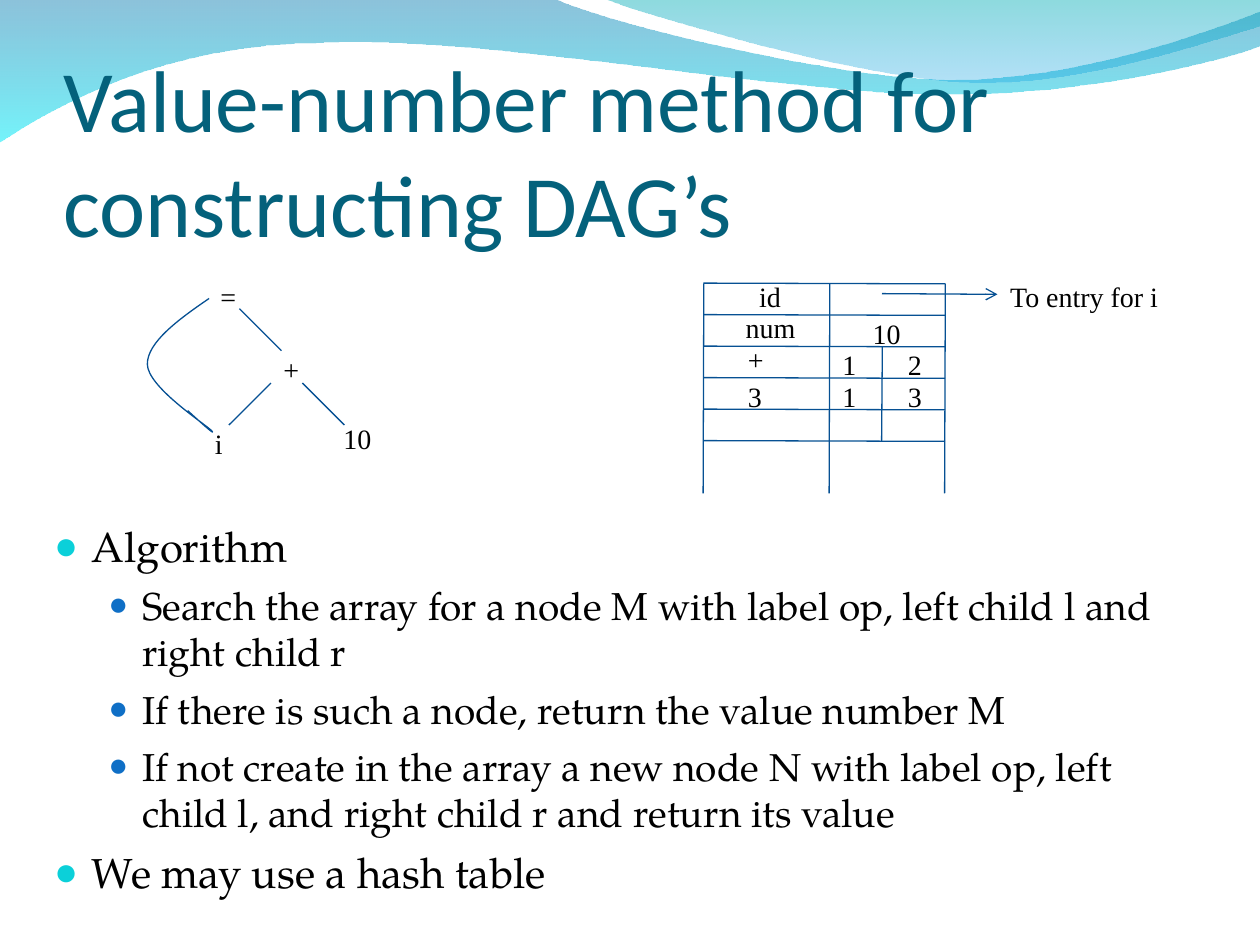
from lxml.etree import SubElement
from pptx import Presentation
from pptx.dml.color import RGBColor
from pptx.enum.shapes import MSO_CONNECTOR
from pptx.enum.text import MSO_ANCHOR, MSO_AUTO_SIZE
from pptx.oxml.ns import qn
from pptx.util import Pt


def tint(code):
    """Turn a hex string into a colour."""
    return RGBColor.from_string(code)


class Deck:
    """Holds the style and the current slide."""

    ink = "000000"
    blue = "065093"
    serif = "Times New Roman"
    body = "TeX Gyre Pagella"
    levels = [(24, 6.5, 21.6, -21.6, "0BD0D9", 95),
              (22.2, 6, 50.4, -19.4, "0F6FC6", 85)]

    def __init__(self, slide):
        """Keep the slide to draw on."""
        self.slide = slide

    def frame(self, x, y, w, h, wrap=True):
        """Add a text box and return its text frame."""
        box = self.slide.shapes.add_textbox(Pt(x), Pt(y), Pt(w), Pt(h))
        box.text_frame.word_wrap = wrap
        return box.text_frame

    def run(self, para, text, size, font, color=ink):
        """Add one styled run."""
        run = para.add_run()
        run.text = text
        run.font.size = Pt(size)
        run.font.name = font
        run.font.color.rgb = tint(color)

    def title(self, text, x, y, w, h):
        """Add the heading, set on the bottom of its box."""
        frame = self.frame(x, y, w, h)
        frame.vertical_anchor = MSO_ANCHOR.BOTTOM
        frame.margin_left = frame.margin_right = frame.margin_bottom = 0
        self.run(frame.paragraphs[0], text, 50, "Calibri", "04617B")

    def label(self, text, x, y, w):
        """Add a short label."""
        frame = self.frame(x, y, w, 26.6, False)
        frame.auto_size = MSO_AUTO_SIZE.SHAPE_TO_FIT_TEXT
        self.run(frame.paragraphs[0], text, 16, self.serif)

    def bullets(self, items, x, y, w, h):
        """Add a list of (level, text) items."""
        frame = self.frame(x, y, w, h)
        for i, (level, text) in enumerate(items):
            para = frame.add_paragraph() if i else frame.paragraphs[0]
            size, gap, left, hang, color, scale = self.levels[level]
            para.level = level
            para.space_before = Pt(gap)
            props = para._p.get_or_add_pPr()
            props.set("marL", str(Pt(left)))
            props.set("indent", str(Pt(hang)))
            mark = SubElement(props, qn("a:buClr"))
            SubElement(mark, qn("a:srgbClr"), val=color)
            SubElement(props, qn("a:buSzPct"), val=str(scale * 1000))
            SubElement(props, qn("a:buFont"), typeface=self.serif)
            SubElement(props, qn("a:buChar"), char="●")
            self.run(para, text, size, self.body)

    def line(self, x1, y1, x2, y2, arrow=False):
        """Add a straight line, with an arrowhead if asked."""
        link = self.slide.shapes.add_connector(
            MSO_CONNECTOR.STRAIGHT, Pt(x1), Pt(y1), Pt(x2), Pt(y2))
        link.line.color.rgb = tint(self.blue)
        link.line.width = Pt(0.75)
        if arrow:
            SubElement(link.line._get_or_add_ln(), qn("a:tailEnd"), type="arrow")
        SubElement(link._element.spPr, qn("a:effectLst"))

    def outline(self, start, steps, close):
        """Add a freeform whose six-number steps are cubic curves."""
        spots = [(Pt(s[i]), Pt(s[i + 1])) for s in steps for i in range(0, len(s), 2)]
        pen = self.slide.shapes.build_freeform(Pt(start[0]), Pt(start[1]))
        pen.add_line_segments(spots, close=close)
        form = pen.convert_to_shape()
        form.shadow.inherit = False
        parts = iter(list(form._element.spPr.iter(qn("a:lnTo"))))
        for step in steps:
            part = next(parts)
            if len(step) == 6:
                bend = part.makeelement(qn("a:cubicBezTo"))
                part.addprevious(bend)
                for old in (part, next(parts), next(parts)):
                    bend.append(old[0])
                    old.getparent().remove(old)
        return form

    def wave(self, start, steps, stops):
        """Add a closed form with a see-through vertical gradient."""
        form = self.outline(start, steps, True)
        form.line.fill.background()
        form.fill.gradient()
        form.fill.gradient_angle = 270
        for stop, (place, color, _) in zip(form.fill.gradient_stops, stops):
            stop.position = place
            stop.color.rgb = tint(color)
        inks = form._element.spPr.iter(qn("a:srgbClr"))
        for ink, (_, _, alpha) in zip(inks, stops):
            SubElement(ink, qn("a:alpha"), val=str(alpha * 1000))

    def curve(self, start, steps):
        """Add an open curved line."""
        form = self.outline(start, steps, False)
        form.fill.background()
        form.line.color.rgb = tint(self.blue)
        form.line.width = Pt(0.75)


def main():
    """Build the slide."""
    show = Presentation()
    show.slide_width, show.slide_height = Pt(720), Pt(540)
    deck = Deck(show.slides.add_slide(show.slide_layouts[6]))

    deck.wave((0, -0.7), [
        (316.8, -0.7), (342.7, 12.2, 478.1, 45.4, 545.8, 45.4),
        (614.2, 45.4, 689.8, 18.7, 720, 6.5), (720.7, 25.9),
        (707.8, 31.7, 626.4, 54.7, 537.1, 54),
        (447.8, 54, 275, 20.2, 185, 24.5),
        (92.9, 25.2, 33.1, 59.8, -0.7, 81.4)],
        [(0, "0079AF", 45), (1, "00EBF8", 55)])
    deck.wave((344.9, -0.7), [
        (366.5, 7.9, 491, 44.6, 553.7, 46.8),
        (616.3, 49.7, 691.9, 23, 720, 15.1), (720, 0)],
        [(0, "00ADB6", 45), (1, "009BE5", 30)])

    deck.title("Value-number method for constructing DAG’s", 36.2, 55.9, 648, 90)
    deck.bullets([
        (0, "Algorithm"),
        (1, "Search the array for a node M with label op, left child l and right child r"),
        (1, "If there is such a node, return the value number M"),
        (1, "If not create in the array a new node N with label op, "
            "left child l, and right child r and return its value"),
        (0, "We may use a hash table")], 23.8, 293.9, 648, 221.8)

    for text, x, y, w in [("=", 118.8, 156.2, 23.4), ("+", 154.8, 198, 23.4),
                          ("10", 189.2, 237.6, 30.4), ("i", 115.7, 240, 18.9)]:
        deck.label(text, x, y, w)
    for x, y, dx in [(154.8, 218.9, -24), (172.8, 218.9, 24), (136.8, 176.4, 24)]:
        deck.line(x, y, x + dx, y + 24)
    deck.curve((119.5, 170.6), [
        (101.5, 182.9, 84.2, 195.8, 84.2, 208.1),
        (84.2, 221, 116.6, 241.9, 121, 246.2),
        (124.6, 250.6, 107.3, 234.7, 107.3, 234.7)])

    left, mid, split, right, top, row, lean = 402, 474, 504, 540, 162, 18, 0.2
    for x in (left, mid, right):
        deck.line(x + lean, top, x - lean, 282)
    for i in range(6):
        y = top + i * row
        deck.line(left, y - lean, right, y + lean)
    deck.line(split + lean, top + 2 * row, split - lean, top + 5 * row)
    deck.line(split, 168 - lean, 570, 168 + lean, True)

    for text, x, y, w in [("id", 426.7, 156.2, 27), ("To entry for i", 570.2, 156.2, 101),
                          ("num", 419, 174.2, 44), ("10", 491.6, 177.1, 30.4),
                          ("+", 420.3, 192.4, 23.6), ("3", 420.3, 213.1, 22.6)]:
        deck.label(text, x, y, w)
    for i, pair in enumerate(["12", "13"]):
        for text, x in zip(pair, (474.3, 511.7)):
            deck.label(text, x, 195.3 + i * row, 22.5)

    show.save("out.pptx")


if __name__ == "__main__":
    main()
